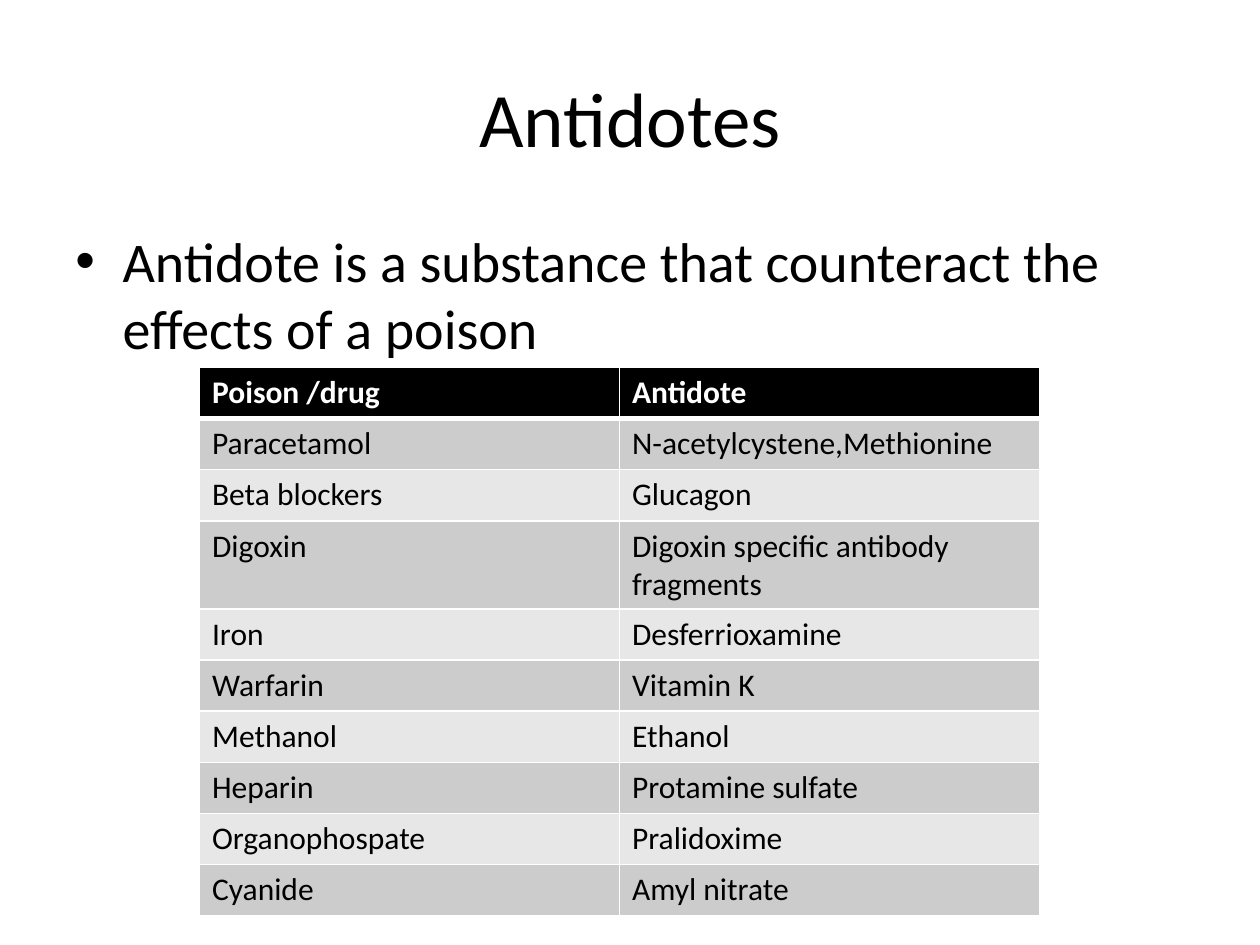
from lxml import etree
from pptx import Presentation
from pptx.dml.color import RGBColor
from pptx.enum.text import MSO_ANCHOR, PP_ALIGN
from pptx.oxml.ns import qn
from pptx.util import Pt

CENTER = PP_ALIGN.CENTER
MIDDLE = MSO_ANCHOR.MIDDLE
FONT = "Calibri"
COLORS = {"black": "000000", "white": "FFFFFF", "odd": "CCCCCC", "even": "E7E7E7"}


def style(p, size, color="black", bold=False):
    for r in p.runs:
        r.font.name = FONT
        r.font.size = Pt(size)
        r.font.bold = bold
        r.font.color.rgb = RGBColor.from_string(COLORS[color])


def add_border(cell, side, width):
    ln = etree.SubElement(cell._tc.get_or_add_tcPr(), qn(f"a:{side}"), w=str(Pt(width)))
    fill = etree.SubElement(ln, qn("a:solidFill"))
    etree.SubElement(fill, qn("a:srgbClr"), val=COLORS["white"])


prs = Presentation()
prs.slide_width, prs.slide_height = Pt(720), Pt(540)
s = prs.slides.add_slide(prs.slide_layouts[5])

# Title
title = s.shapes.title
title.left, title.top, title.width, title.height = Pt(36), Pt(21.6), Pt(648), Pt(90)
tf = title.text_frame
tf.text = "Antidotes"
tf.vertical_anchor = MIDDLE
tf.paragraphs[0].alignment = CENTER
style(tf.paragraphs[0], 44)

# Definition
body = s.shapes.add_textbox(Pt(36), Pt(126), Pt(648), Pt(356.4))
tf = body.text_frame
tf.word_wrap = True
p = tf.paragraphs[0]
p.text = "Antidote is a substance that counteract the effects of a poison"
pPr = p._p.get_or_add_pPr()
pPr.set("marL", str(Pt(27)))
pPr.set("indent", str(Pt(-27)))
etree.SubElement(pPr, qn("a:buFont"), typeface="Arial")
etree.SubElement(pPr, qn("a:buChar"), char="•")
style(p, 32)

# Table of poisons and antidotes
rows = [
    ("Poison /drug", "Antidote"),
    ("Paracetamol", "N-acetylcystene,Methionine"),
    ("Beta blockers", "Glucagon"),
    ("Digoxin", "Digoxin specific antibody fragments"),
    ("Iron", "Desferrioxamine"),
    ("Warfarin", "Vitamin K"),
    ("Methanol", "Ethanol"),
    ("Heparin", "Protamine sulfate"),
    ("Organophospate", "Pralidoxime"),
    ("Cyanide", "Amyl nitrate"),
]
ROW_H = 29.2
table = s.shapes.add_table(len(rows), 2, Pt(114), Pt(210), Pt(480), Pt(ROW_H * len(rows))).table
for i, texts in enumerate(rows):
    table.rows[i].height = Pt(ROW_H)
    header = i == 0
    fill = "black" if header else "odd" if i % 2 else "even"
    for j, text in enumerate(texts):
        cell = table.cell(i, j)
        cell.text = text
        style(cell.text_frame.paragraphs[0], 18, "white" if header else "black", header)
        for side in ("lnL", "lnR", "lnT", "lnB"):
            heavy = (i, side) in ((0, "lnB"), (1, "lnT"))
            add_border(cell, side, 3 if heavy else 1)
        cell.fill.solid()
        cell.fill.fore_color.rgb = RGBColor.from_string(COLORS[fill])

prs.save("out.pptx")
